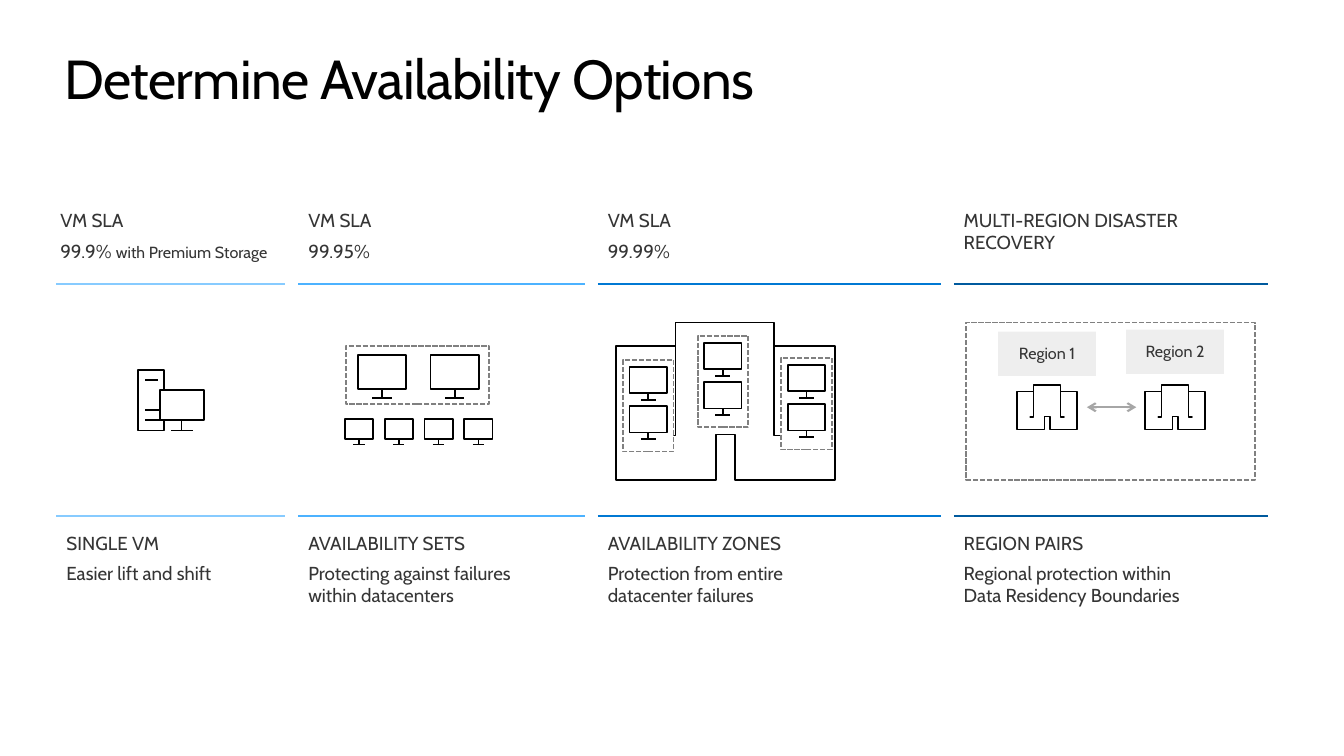
import pptx
import pptx.util
import pptx.dml.color
import pptx.enum.dml
import pptx.enum.shapes
import pptx.enum.text
import lxml.etree
from pptx.util import Inches

RGBColor = pptx.dml.color.RGBColor
BLACK = RGBColor(0x00, 0x00, 0x00)
WHITE = RGBColor(0xFF, 0xFF, 0xFF)
TEXT = RGBColor(0x35, 0x35, 0x35)
DASH = RGBColor(0x80, 0x80, 0x80)
ARROW = RGBColor(0xA6, 0xA6, 0xA6)
LABEL = RGBColor(0xEE, 0xEE, 0xEE)
SKY = RGBColor(0x87, 0xCB, 0xFF)
LIGHT = RGBColor(0x4C, 0xB2, 0xFF)
BLUE = RGBColor(0x00, 0x78, 0xD3)
NAVY = RGBColor(0x00, 0x5A, 0x9E)
DRAWING_NS = "http://schemas.openxmlformats.org/drawingml/2006/main"

prs = pptx.Presentation()
prs.slide_width = Inches(13.33)
prs.slide_height = Inches(7.5)
s = prs.slides.add_slide(prs.slide_layouts[6])


def add_text(x, y, w, h, runs, color=TEXT):
    sp = s.shapes.add_textbox(Inches(x), Inches(y), Inches(w), Inches(h))
    tf = sp.text_frame
    tf.word_wrap = True
    for text, size in runs:
        r = tf.paragraphs[0].add_run()
        r.text = text
        r.font.name = "Cabin"
        r.font.size = pptx.util.Pt(size)
        r.font.color.rgb = color
    return tf


def add_outline(strokes, close=False):
    x, y = strokes[0][0]
    builder = s.shapes.build_freeform(Inches(x), Inches(y))
    for i, stroke in enumerate(strokes):
        points = [(Inches(px), Inches(py)) for px, py in stroke]
        if i:
            builder.move_to(*points[0])
        builder.add_line_segments(points[1:], close=close)
    sp = builder.convert_to_shape()
    sp.shadow.inherit = False
    sp.fill.background()
    sp.line.color.rgb = BLACK
    sp.line.width = pptx.util.Pt(1.25)


tf = add_text(0.64, 0.5, 12.05, 0.66, [("Determine Availability Options", 39.2)], BLACK)
tf.margin_left = tf.margin_top = 0
tf.margin_right, tf.margin_bottom = Inches(0.16), Inches(0.04)
tf.vertical_anchor = pptx.enum.text.MSO_ANCHOR.MIDDLE
p = tf.paragraphs[0]
p.line_spacing = 0.9
p.runs[0].font._element.set("spc", "-50")

columns = [
    (0.56, 2.27, SKY, 0.5, "VM SLA", [("99.9% ", 13.4), ("with Premium Storage", 11.5)],
     "SINGLE VM", "Easier lift and shift"),
    (2.96, 2.84, LIGHT, 2.96, "VM SLA", [("99.95%", 13.4)],
     "AVAILABILITY SETS", "Protecting against failures within datacenters"),
    (5.93, 3.4, BLUE, 5.93, "VM SLA", [("99.99%", 13.4)],
     "AVAILABILITY ZONES", "Protection from entire datacenter failures"),
    (9.46, 3.12, NAVY, 9.46, "MULTI-REGION DISASTER RECOVERY", [],
     "REGION PAIRS", "Regional protection within Data Residency Boundaries"),
]
lines = [(10.78, 4.04, 0.49, ARROW, 1.5)]
for x, w, color, head_x, head, sla, name, benefit in columns:
    lines += [(x, y, w, color, 1.25) for y in (2.82, 5.12)]
    add_text(head_x, 2.02, 3, 0.37, [(head, 13.4)])
    if sla:
        add_text(head_x, 2.33, 2.27, 0.37, sla)
    add_text(x, 5.23, 2.4, 0.38, [(name, 13.4)])
    add_text(x, 5.52, 2.4, 0.64, [(benefit, 13.4)])

for x, y, w, color, weight in lines:
    c = s.shapes.add_connector(pptx.enum.shapes.MSO_CONNECTOR.STRAIGHT,
                               Inches(x), Inches(y), Inches(x + w), Inches(y))
    c.line.color.rgb = color
    c.line.width = pptx.util.Pt(weight)
    if color == ARROW:
        ln = c.line._get_or_add_ln()
        for end in ("headEnd", "tailEnd"):
            lxml.etree.SubElement(ln, f"{{{DRAWING_NS}}}{end}", type="arrow")
    lxml.etree.SubElement(c._element.spPr, f"{{{DRAWING_NS}}}effectLst")

add_outline([
    [(1.59, 3.87), (2.02, 3.87), (2.02, 4.17), (1.59, 4.17), (1.59, 3.87)],
    [(1.8, 4.17), (1.8, 4.27)],
    [(1.7, 4.27), (1.91, 4.27)],
    [(1.44, 3.77), (1.57, 3.77)],
    [(1.44, 4.17), (1.59, 4.17)],
    [(1.44, 4.07), (1.59, 4.07)],
    [(1.63, 3.87), (1.63, 3.67), (1.37, 3.67), (1.37, 4.27), (1.63, 4.27), (1.63, 4.17)],
])

building = [
    (0.99, 1.56), (0, 1.56), (0, 0.23), (0.59, 0.23), (0.59, 1.12), (0.47, 1.12),
    (0.59, 1.12), (0.59, 0), (1.57, 0), (1.57, 1.12), (1.7, 1.12), (1.57, 1.12),
    (1.57, 0.23), (2.17, 0.23), (2.17, 1.56), (1.18, 1.56), (1.18, 1.11),
    (0.99, 1.11), (0.99, 1.56),
]
for x, y, w, h in [(6.11, 3.2, 2.17, 1.56), (10.09, 3.82, 0.59, 0.44), (11.36, 3.82, 0.59, 0.44)]:
    add_outline([[(x + px * w / 2.17, y + py * h / 1.56) for px, py in building]], close=True)

zones = [(6.18, 3.57), (6.92, 3.33), (7.75, 3.55)]
boxes = [(3.43, 3.43, 1.42, 0.58, None, ""), (9.58, 3.2, 2.87, 1.56, None, "")]
boxes += [(x, y, 0.5, 0.91, WHITE, "") for x, y in zones]
boxes += [(9.9, 3.29, 0.97, 0.44, LABEL, "Region 1"), (11.17, 3.27, 0.97, 0.44, LABEL, "Region 2")]
for x, y, w, h, fill, label in boxes:
    sp = s.shapes.add_shape(pptx.enum.shapes.MSO_SHAPE.RECTANGLE,
                            Inches(x), Inches(y), Inches(w), Inches(h))
    sp.shadow.inherit = False
    if fill is None:
        sp.fill.background()
    else:
        sp.fill.solid()
        sp.fill.fore_color.rgb = fill
    if not label:
        sp.line.color.rgb = DASH
        sp.line.width = pptx.util.Pt(1.25)
        sp.line.dash_style = pptx.enum.dml.MSO_LINE.SQUARE_DOT
        continue
    sp.line.fill.background()
    tf = sp.text_frame
    tf.margin_left = tf.margin_top = tf.margin_right = tf.margin_bottom = 0
    tf.vertical_anchor = pptx.enum.text.MSO_ANCHOR.MIDDLE
    p = tf.paragraphs[0]
    p.text = label
    p.alignment = pptx.enum.text.PP_ALIGN.CENTER
    p.line_spacing = 0.9
    r = p.runs[0]
    r.font.name = "Cabin"
    r.font.size = pptx.util.Pt(11.5)
    r.font.color.rgb = TEXT

monitors = [(x, 3.52, 0.48) for x in (3.55, 4.27)]
monitors += [(3.42 + 0.395 * i, 4.16, 0.28) for i in range(4)]
monitors += [(x + 0.065, y + 0.07 + 0.39 * i, 0.37) for x, y in zones for i in range(2)]
for x, y, w in monitors:
    mid, screen, base = x + w / 2, y + 0.71 * w, y + 0.89 * w
    add_outline([
        [(x, y), (x + w, y), (x + w, screen), (x, screen), (x, y)],
        [(mid, screen), (mid, base)],
        [(mid - 0.2 * w, base), (mid + 0.2 * w, base)],
    ])

prs.save("out.pptx")
